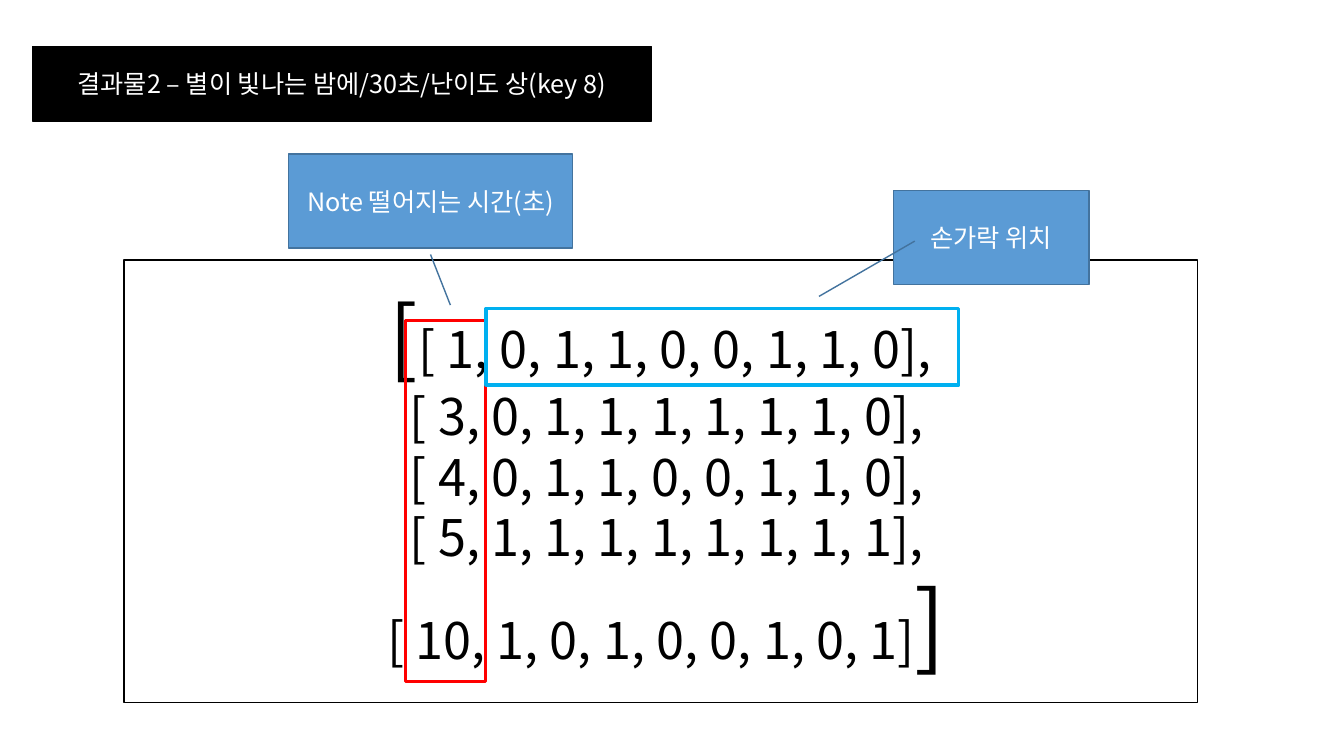
import pptx
import pptx.util
import pptx.dml.color
import pptx.enum.shapes
import pptx.enum.text
import pptx.oxml.ns
import lxml.etree

Inches = pptx.util.Inches
Pt = pptx.util.Pt
Shapes = pptx.enum.shapes.MSO_SHAPE
FONT = "Noto Sans CJK KR"
COLORS = {
    "black": "000000",
    "white": "FFFFFF",
    "red": "FF0000",
    "cyan": "00B0F0",
    "blue": "5B9BD5",
    "blue_line": "43739E",
}

presentation = pptx.Presentation()
presentation.slide_width = Inches(13.33)
presentation.slide_height = Inches(7.5)
slide = presentation.slides.add_slide(presentation.slide_layouts[6])


def rgb(name):
    return pptx.dml.color.RGBColor.from_string(COLORS[name])


def add_box(kind, box, fill, line, width, paragraphs, color="white"):
    shape = slide.shapes.add_shape(kind, *[Inches(length) for length in box])
    shape.shadow.inherit = False
    if fill:
        shape.fill.solid()
        shape.fill.fore_color.rgb = rgb(fill)
    else:
        shape.fill.background()
    shape.line.color.rgb = rgb(line)
    shape.line.width = Pt(width)
    text_frame = shape.text_frame
    text_frame.word_wrap = True
    text_frame.vertical_anchor = pptx.enum.text.MSO_ANCHOR.MIDDLE
    for index, runs in enumerate(paragraphs):
        paragraph = text_frame.paragraphs[0] if index == 0 else text_frame.add_paragraph()
        paragraph.alignment = pptx.enum.text.PP_ALIGN.CENTER
        for text, size in runs:
            run = paragraph.add_run()
            run.text = text
            run.font.size = Pt(size)
            run.font.name = FONT
            run.font.color.rgb = rgb(color)
            east_asian = lxml.etree.SubElement(run.font._element, pptx.oxml.ns.qn("a:ea"))
            east_asian.set("typeface", FONT)
    return shape


note_rows = [
    [("[", 60), ("[ 1, 0, 1, 1, 0, 0, 1, 1, 0],", 36)],
    [(" [ 3, 0, 1, 1, 1, 1, 1, 1, 0],", 36)],
    [(" [ 4, 0, 1, 1, 0, 0, 1, 1, 0],", 36)],
    [(" [ 5, 1, 1, 1, 1, 1, 1, 1, 1],", 36)],
    [(" [ 10, 1, 0, 1, 0, 0, 1, 0, 1]", 36), ("]", 66)],
]
add_box(Shapes.RECTANGLE, (1.23, 2.58, 10.65, 4.39), None, "black", 1, note_rows, "black")
add_box(Shapes.RECTANGLE, (4.02, 3.18, 0.8, 3.58), None, "red", 2.25, [])
add_box(Shapes.RECTANGLE, (4.82, 3.06, 4.69, 0.76), None, "cyan", 2.25, [])

callouts = [
    ("손가락 위치", (8.86, 1.89, 1.94, 0.93), (0.54, 0.11, 1.13, -0.38)),
    ("Note 떨어지는 시간(초)", (2.86, 1.53, 2.82, 0.93), (1.07, 0.5, 1.61, 0.57)),
]
for label, box, pointer in callouts:
    callout = add_box(Shapes.LINE_CALLOUT_1, box, "blue", "blue_line", 1, [[(label, 18)]])
    for index, value in enumerate(pointer):
        callout.adjustments[index] = value

title = "결과물2 – 별이 빛나는 밤에/30초/난이도 상(key 8)"
add_box(Shapes.RECTANGLE, (0.32, 0.46, 6.14, 0.74), "black", "black", 1, [[(title, 18)]])

presentation.save("out.pptx")
